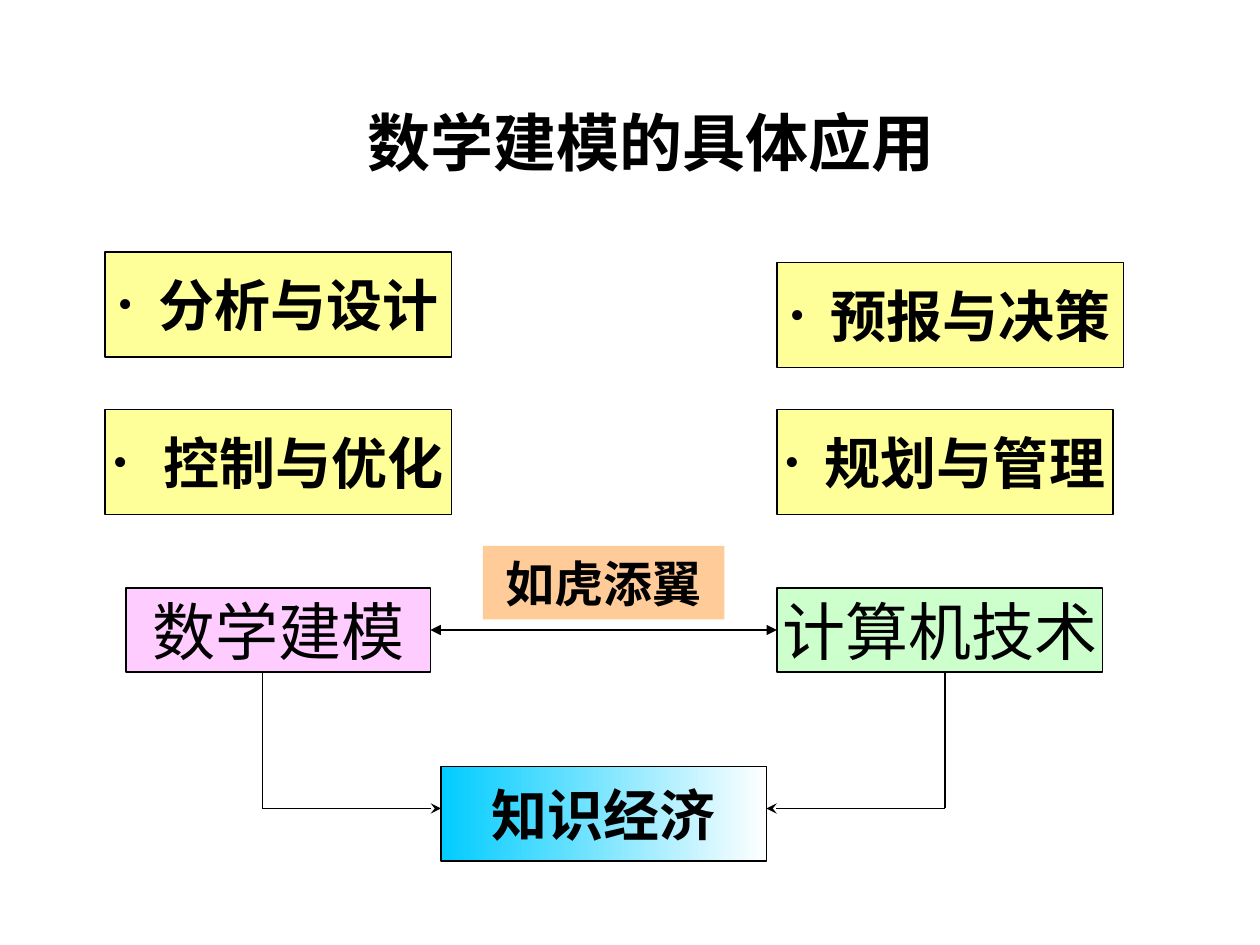
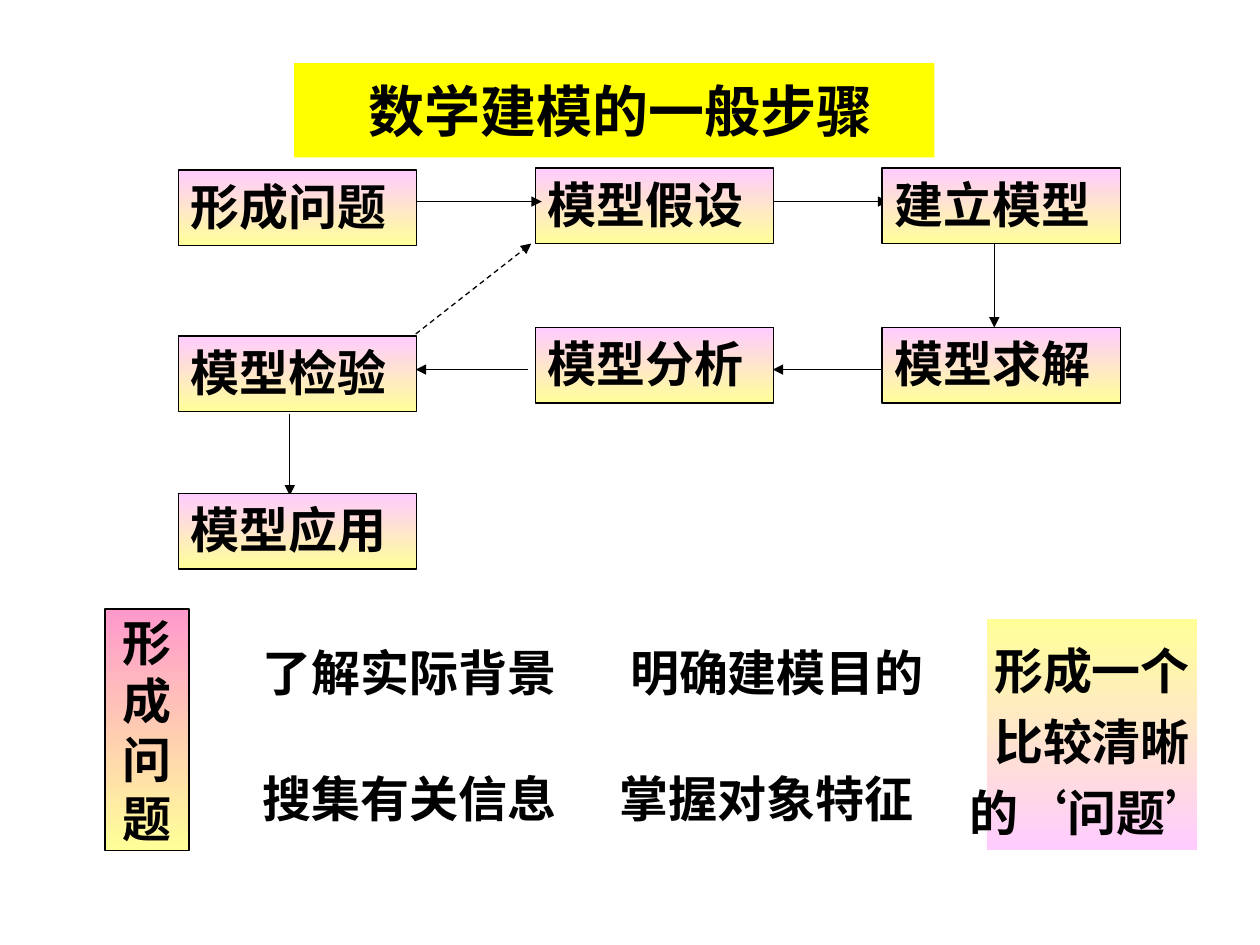
"""Two slides on the uses and the steps of mathematical modelling."""
from lxml import etree
from pptx import Presentation, util as u
from pptx.dml.color import RGBColor
from pptx.enum import dml, shapes, text
from pptx.oxml.ns import qn

HUES = {"ink": "000000", "white": "FFFFFF", "cream": "FFFF99", "pink": "FFCCFF",
        "rose": "FF99CC", "mint": "CCFFCC", "sky": "00CCFF", "peach": "FFCC99",
        "yellow": "FFFF00"}
SANS, SERIF = "Noto Sans CJK SC", "Times New Roman"
COLS = 120

USES = [("分析与设计", (10, 24, 33, 10), 0.32), ("预报与决策", (74, 25, 33, 10), 0.32),
        ("控制与优化", (10, 39, 33, 10), 0.4), ("规划与管理", (74, 39, 32, 10), 0.32)]
PAIR = [("数学建模", (12, 56, 29, 8), "pink"), ("计算机技术", (74, 56, 31, 8), "mint")]
GOAL = ("知识经济", (42, 73, 31, 9))
BOND = ("如虎添翼", (46, 52, 23, 7))
BENDS = [(25, 42), (90, 73)]

STEPS = [("形成问题", 17, 16.2), ("模型假设", 51, 16), ("建立模型", 84, 16),
         ("模型求解", 84, 31.2), ("模型分析", 51, 31.2), ("模型检验", 17, 32),
         ("模型应用", 17, 47)]
STEP = (22.7, 7.2)
LINKS = [(73.7, 19.2, 84.6, 19.2), (94.7, 23.2, 94.7, 31.2), (83.9, 35.2, 73.6, 35.2),
         (50.3, 35.2, 39.6, 35.2), (27.6, 39.4, 27.6, 47.2)]
RETRY = (39.6, 31.8, 50.6, 23.2)
START = (39.6, 19.2, 51.6, 19.2)
TASKS = [("了解实际背景", 24, 60), ("明确建模目的", 59, 60),
         ("搜集有关信息", 24, 72), ("掌握对象特征", 58, 72)]
STAGE = ("形\n成\n问\n题", (10, 58, 8, 23))
RESULT = ("形成一个\n比较清晰\n的‘问题’", (94, 59, 20, 22))

deck = Presentation()
deck.slide_width, deck.slide_height = u.Inches(10), u.Inches(7.5)
CELL = deck.slide_width / COLS


def grid(nums):
    return [round(n * CELL) for n in nums]


def rgb(name):
    return RGBColor.from_string(HUES[name])


def write(shape, words, size, bold=True, font=SERIF, mid=True, gap=None):
    frame = shape.text_frame
    frame.text = words
    frame.auto_size = text.MSO_AUTO_SIZE.NONE
    frame.word_wrap = not mid
    frame.vertical_anchor = text.MSO_ANCHOR.MIDDLE if mid else text.MSO_ANCHOR.TOP
    for para in frame.paragraphs:
        para.alignment = text.PP_ALIGN.CENTER if mid else text.PP_ALIGN.LEFT
        para.line_spacing = gap
        for run in para.runs:
            run.font.size, run.font.bold, run.font.name = u.Pt(size), bold, font
            run.font.color.rgb = rgb("ink")
            etree.SubElement(run.font._element, qn("a:ea"), typeface=SANS)


def paint(shape, fill, angle=270):
    if isinstance(fill, str):
        shape.fill.solid()
        shape.fill.fore_color.rgb = rgb(fill)
        return
    shape.fill.gradient()
    shape.fill.gradient_angle = angle
    for stop, name, place in zip(shape.fill.gradient_stops, fill, (0, 1)):
        stop.color.rgb, stop.position = rgb(name), place


def box(slide, words, area, fill, size, edge=True, angle=270, **style):
    shape = slide.shapes.add_shape(shapes.MSO_SHAPE.RECTANGLE, *grid(area))
    shape.shadow.inherit = False
    paint(shape, fill, angle)
    if edge:
        shape.line.color.rgb, shape.line.width = rgb("ink"), u.Pt(0.75)
    else:
        shape.line.fill.background()
    write(shape, words, size, **style)
    return shape


def link(slide, ends, head=None, tail="triangle", dash=False):
    wire = slide.shapes.add_connector(shapes.MSO_CONNECTOR.STRAIGHT, *grid(ends))
    wire.line.color.rgb, wire.line.width = rgb("ink"), u.Pt(0.75)
    if dash:
        wire.line.dash_style = dml.MSO_LINE.DASH
    for tag, kind in (("a:headEnd", head), ("a:tailEnd", tail)):
        if kind:
            etree.SubElement(wire.line._get_or_add_ln(), qn(tag), type=kind)
    etree.SubElement(wire._element.spPr, qn("a:effectLst"))


def bullet(shape, inch):
    props = shape.text_frame.paragraphs[0]._p.get_or_add_pPr()
    props.set("marL", str(u.Inches(inch)))
    props.set("indent", str(-u.Inches(inch)))
    etree.SubElement(props, qn("a:buSzPct"), val="75000")
    etree.SubElement(props, qn("a:buFont"), typeface=SERIF)
    etree.SubElement(props, qn("a:buChar"), char="•")


def page(words, area, size):
    slide = deck.slides.add_slide(deck.slide_layouts[5])
    title = slide.shapes.title
    title.left, title.top, title.width, title.height = grid(area)
    write(title, words, size, font=SANS)
    return slide


def uses():
    slide = page("数学建模的具体应用", (23, 8, 78, 11), 36)
    for words, area, inch in USES:
        bullet(box(slide, words, area, "cream", 32), inch)
    for words, area, fill in PAIR:
        box(slide, words, area, fill, 36, bold=False)
    box(slide, *GOAL, ("sky", "white"), 32, angle=0)
    for x, end in BENDS:
        link(slide, (x, 64, x, 77), tail=None)
        link(slide, (x, 77, end, 77), tail="stealth")
    link(slide, (41, 60, 74, 60), head="triangle")
    box(slide, *BOND, "peach", 28, edge=False)


def steps():
    slide = page("数学建模的一般步骤", (28, 6, 61, 9), 32)
    paint(slide.shapes.title, "yellow")
    slide.shapes.title.text_frame.margin_left = u.Inches(0.2)
    for ends in LINKS:
        link(slide, ends)
    link(slide, RETRY, dash=True)
    for words, x, y in STEPS:
        box(slide, words, (x, y, *STEP), ("pink", "cream"), 28, mid=False)
    link(slide, START)
    box(slide, *STAGE, ("rose", "cream"), 28)
    for words, x, y in TASKS:
        note = slide.shapes.add_textbox(*grid((x, y, 30, 8)))
        write(note, words, 28, font=SANS)
    box(slide, *RESULT, ("cream", "pink"), 28, edge=False, gap=1.2)


uses()
steps()
deck.save("out.pptx")
